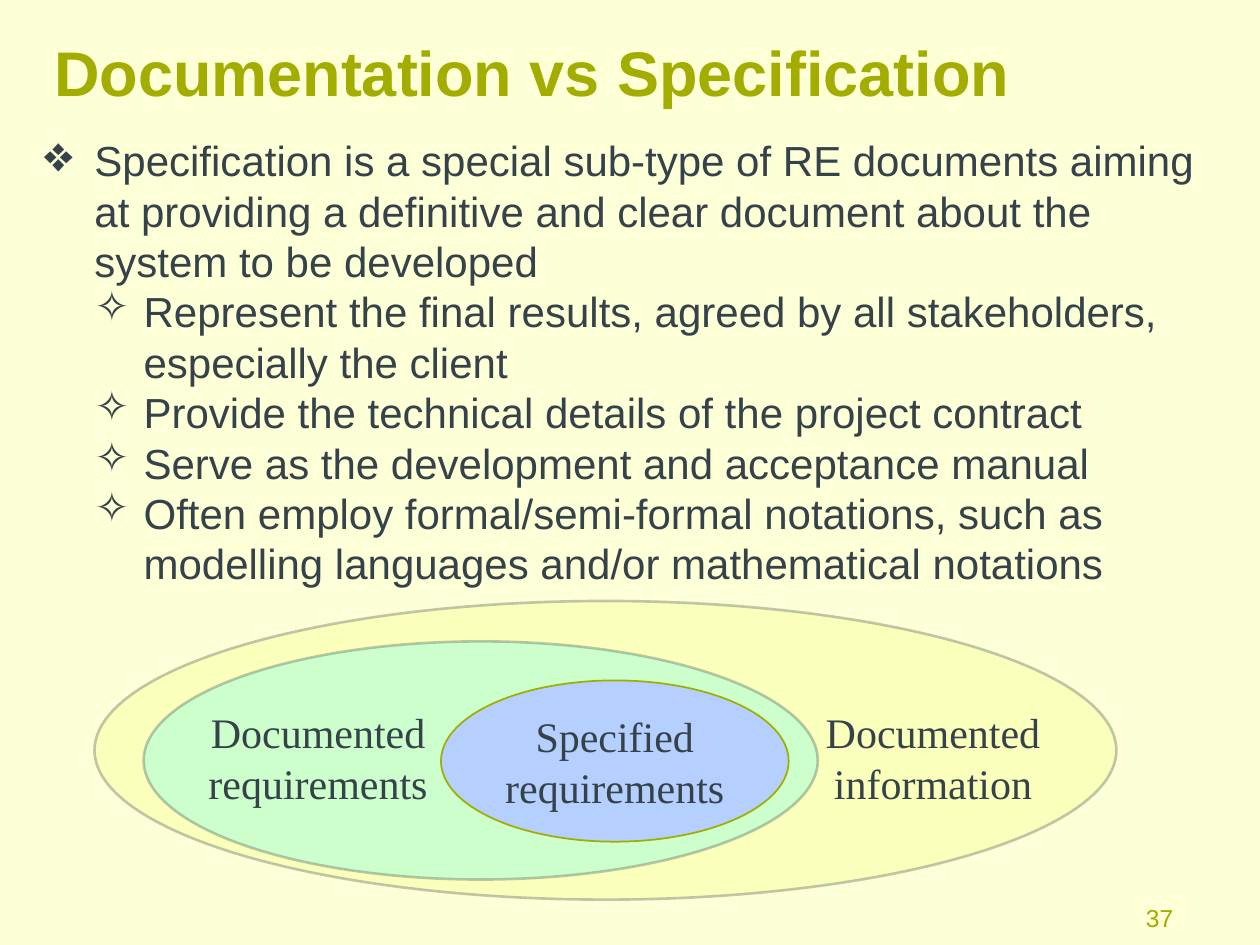
"""Build the slide that contrasts documentation with specification."""
from typing import NamedTuple

from lxml.etree import SubElement
from pptx import Presentation
from pptx.dml.color import RGBColor
from pptx.enum.shapes import MSO_SHAPE
from pptx.enum.text import MSO_ANCHOR as ANCHOR, PP_ALIGN as ALIGN
from pptx.oxml.ns import qn
from pptx.util import Inches, Pt

COLORS = {
    "olive": "A2AD00",
    "slate": "36424A",
    "background": "FDFFD7",
    "yellow": "FBFFBC",
    "green": "CCFFCC",
    "blue": "B5D0FF",
}
SANS, SERIF = "Arial", "Times New Roman"


class Box(NamedTuple):
    left: float
    top: float
    width: float
    height: float


class BulletStyle(NamedTuple):
    sign: str
    percent: int
    margin: float
    indent: float


class Bullet(NamedTuple):
    text: str
    level: int = 1


class Ellipse(NamedTuple):
    box: Box
    fill: str
    line: str = "slate"
    line_width: float = 1.5
    opacity: int = 30
    text: str = ""


class Label(NamedTuple):
    box: Box
    text: str


BULLET_STYLES = [BulletStyle("❖", 120, 0.4, -0.4), BulletStyle("✧", 100, 0.79, -0.39)]
BULLETS = [
    Bullet("Specification is a special sub-type of RE documents aiming at providing "
           "a definitive and clear document about the system to be developed", 0),
    Bullet("Represent the final results, agreed by all stakeholders, especially the client"),
    Bullet("Provide the technical details of the project contract"),
    Bullet("Serve as the development and acceptance manual"),
    Bullet("Often employ formal/semi-formal notations, such as modelling languages "
           "and/or mathematical notations"),
]
ELLIPSES = [
    Ellipse(Box(0.75, 4.77, 8.11, 2.37), "yellow"),
    Ellipse(Box(1.14, 5.09, 5.35, 1.89), "green"),
    Ellipse(Box(3.5, 5.4, 2.76, 1.28), "blue", "olive", 1, 100, "Specified requirements"),
]
LABELS = [
    Label(Box(1.54, 5.56, 1.97, 0.91), "Documented requirements"),
    Label(Box(6.42, 5.56, 1.97, 0.91), "Documented information"),
]


def rgb(name: str) -> RGBColor:
    """Look up a colour by name."""
    return RGBColor.from_string(COLORS[name])


def inches(box: Box) -> list:
    """Turn a box into lengths."""
    return [Inches(v) for v in box]


def add_run(p, text: str, size: float, font: str, color: str, bold: bool = False) -> None:
    """Add one formatted run to a paragraph."""
    r = p.add_run()
    r.text = text
    r.font.size, r.font.name, r.font.bold = Pt(size), font, bold
    r.font.color.rgb = rgb(color)


def add_textbox(shapes, box: Box):
    """Add a wrapping text box and return its text frame."""
    tf = shapes.add_textbox(*inches(box)).text_frame
    tf.word_wrap = True
    return tf


def add_caption(tf, text: str) -> None:
    """Write a centred diagram caption."""
    p = tf.paragraphs[0]
    p.alignment = ALIGN.CENTER
    add_run(p, text, 24, SERIF, "slate")


def add_title(slide, text: str) -> None:
    """Place and fill the title placeholder."""
    sp = slide.shapes.title
    sp.left, sp.top, sp.width, sp.height = inches(Box(0.43, 0.21, 9.25, 0.71))
    tf = sp.text_frame
    tf.margin_left, tf.vertical_anchor = 0, ANCHOR.MIDDLE
    p = tf.paragraphs[0]
    p.alignment = ALIGN.LEFT
    add_run(p, text, 36, SANS, "olive", bold=True)


def add_bullets(slide, bullets: list[Bullet]) -> None:
    """Write the two-level bullet list."""
    tf = add_textbox(slide.shapes, Box(0.35, 1.02, 9.47, 3.83))
    tf.margin_left = 0
    for i, bullet in enumerate(bullets):
        style = BULLET_STYLES[bullet.level]
        p = tf.add_paragraph() if i else tf.paragraphs[0]
        p.level = bullet.level
        pPr = p._p.get_or_add_pPr()
        pPr.set("marL", str(Inches(style.margin)))
        pPr.set("indent", str(Inches(style.indent)))
        SubElement(pPr, qn("a:buSzPct"), val=str(style.percent * 1000))
        SubElement(pPr, qn("a:buChar"), char=style.sign)
        add_run(p, bullet.text, 24, SANS, "slate")


def add_ellipse(shapes, e: Ellipse) -> None:
    """Draw one set of the diagram."""
    sp = shapes.add_shape(MSO_SHAPE.OVAL, *inches(e.box))
    sp.shadow.inherit = False
    sp.fill.solid()
    sp.fill.fore_color.rgb = rgb(e.fill)
    sp.line.color.rgb = rgb(e.line)
    sp.line.width = Pt(e.line_width)
    if e.opacity < 100:
        color = sp.line._ln.find(".//" + qn("a:srgbClr"))
        SubElement(color, qn("a:alpha"), val=str(e.opacity * 1000))
    if e.text:
        tf = sp.text_frame
        tf.word_wrap, tf.vertical_anchor = True, ANCHOR.MIDDLE
        tf.margin_left = tf.margin_right = 0
        add_caption(tf, e.text)


def main() -> None:
    """Build and save the slide."""
    prs = Presentation()
    prs.slide_width, prs.slide_height = Inches(10), Inches(7.5)
    s = prs.slides.add_slide(prs.slide_layouts[5])
    s.background.fill.solid()
    s.background.fill.fore_color.rgb = rgb("background")

    add_title(s, "Documentation vs Specification")
    add_bullets(s, BULLETS)

    p = add_textbox(s.shapes, Box(8.84, 7.12, 0.57, 0.39)).paragraphs[0]
    p.alignment = ALIGN.RIGHT
    add_run(p, "37", 14, SANS, "olive")

    diagram = s.shapes.add_group_shape().shapes
    for ellipse in ELLIPSES:
        add_ellipse(diagram, ellipse)
    for label in LABELS:
        add_caption(add_textbox(diagram, label.box), label.text)

    prs.save("out.pptx")


if __name__ == "__main__":
    main()
